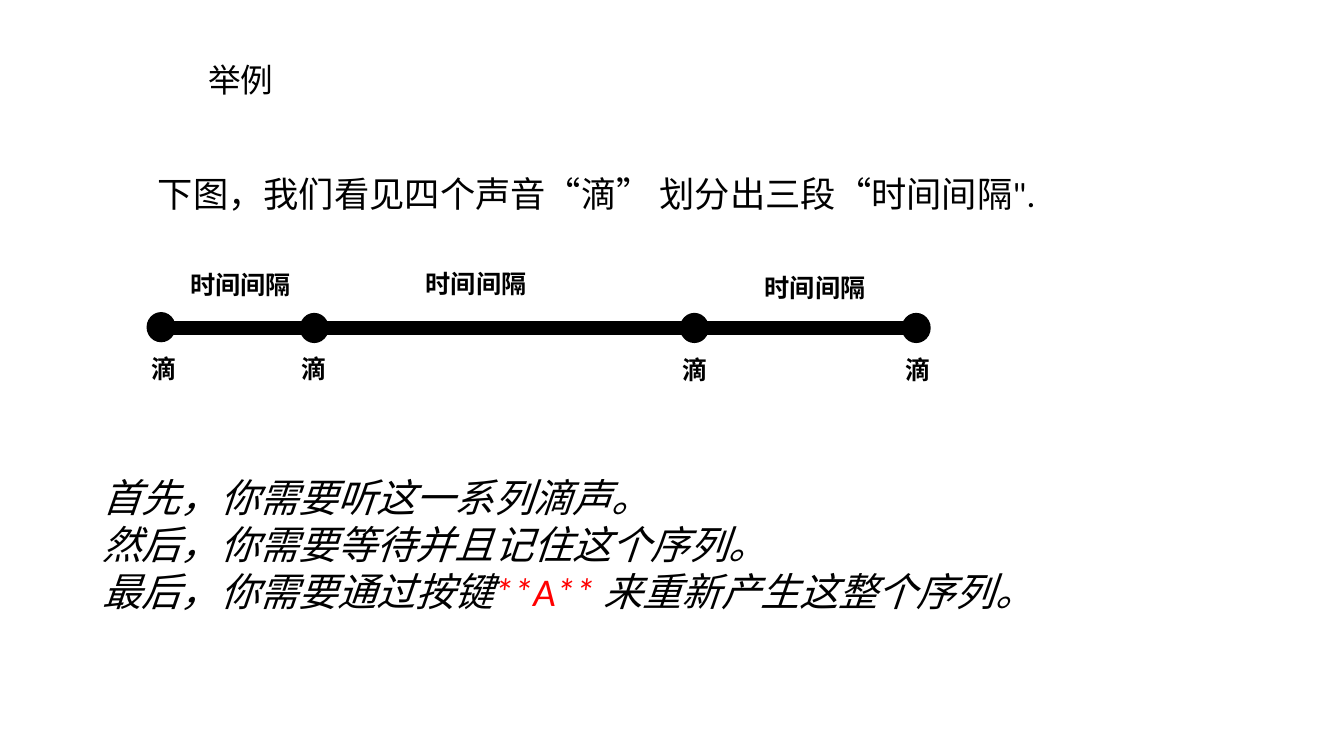
from pptx import Presentation
from pptx.dml.color import RGBColor
from pptx.enum.shapes import MSO_SHAPE
from pptx.enum.text import MSO_ANCHOR, PP_ALIGN
from pptx.util import Cm, Pt

RECTANGLE, OVAL = MSO_SHAPE.RECTANGLE, MSO_SHAPE.OVAL
TOP, BOTTOM = MSO_ANCHOR.TOP, MSO_ANCHOR.BOTTOM
LEFT, CENTER = PP_ALIGN.LEFT, PP_ALIGN.CENTER
BLACK = RGBColor(0x00, 0x00, 0x00)
RED = RGBColor(0xFF, 0x00, 0x00)

BLANK_LAYOUT = 6
DOT_WIDTH, DOT_HEIGHT = 0.66, 0.69
LABEL_HEIGHT = 1.02


class Board:
    """Holds the slide and the style of its elements."""

    heading_font = "Arial"
    body_font = "Calibri"
    label_size = 18

    def __init__(self, slide):
        """Keep the slide to draw on."""
        self.slide = slide

    def text(self, box, lines, font, size, anchor=TOP, align=LEFT,
             bold=False, italic=False, wrap=True, spacing=None):
        """Add a text box; each line is a list of (text, colour) runs."""
        frame = self.slide.shapes.add_textbox(*map(Cm, box)).text_frame
        frame.word_wrap = wrap
        frame.vertical_anchor = anchor
        for index, runs in enumerate(lines):
            paragraph = frame.paragraphs[0] if index == 0 else frame.add_paragraph()
            paragraph.alignment = align
            paragraph.line_spacing = spacing
            paragraph.font.name = font
            paragraph.font.size = Pt(size)
            paragraph.font.bold = bold
            paragraph.font.italic = italic
            for words, colour in runs:
                run = paragraph.add_run()
                run.text = words
                run.font.color.rgb = colour

    def label(self, centre, top, width, words):
        """Add a bold diagram label centred on a horizontal position."""
        self.text((centre - width / 2, top, width, LABEL_HEIGHT), [[(words, BLACK)]],
                  self.heading_font, self.label_size, align=CENTER, bold=True, wrap=False)

    def solid(self, kind, box):
        """Add a black shape with a black outline."""
        shape = self.slide.shapes.add_shape(kind, *map(Cm, box))
        shape.shadow.inherit = False
        shape.fill.solid()
        shape.fill.fore_color.rgb = BLACK
        shape.line.color.rgb = BLACK
        shape.line.width = Pt(2)


def build():
    """Build the slide and save it."""
    deck = Presentation()
    deck.slide_width, deck.slide_height = Cm(33.87), Cm(19.05)
    board = Board(deck.slides.add_slide(deck.slide_layouts[BLANK_LAYOUT]))

    board.text((5, 1.45, 25.96, 1.19), [[("举例", BLACK)]],
               board.heading_font, 23.3, anchor=BOTTOM, spacing=0.9)
    board.text((3.73, 3.48, 27.23, 2.06),
               [[("下图，我们看见四个声音“滴” 划分出三段“时间间隔\".", BLACK)]],
               board.body_font, 25.2, anchor=BOTTOM)

    board.solid(RECTANGLE, (4.04, 8.13, 19.02, 0.28))
    # Each beep: dot centre, dot top, label centre, label top
    beeps = [(4.06, 7.9, 4.14, 8.79), (7.92, 7.92, 7.91, 8.79),
             (17.5, 7.92, 17.51, 8.81), (23.09, 7.92, 23.15, 8.81)]
    for dot_centre, dot_top, label_centre, label_top in beeps:
        board.solid(OVAL, (dot_centre - DOT_WIDTH / 2, dot_top, DOT_WIDTH, DOT_HEIGHT))
        board.label(label_centre, label_top, 1.14, "滴")
    for centre, top in [(6.06, 6.65), (12, 6.63), (20.54, 6.73)]:
        board.label(centre, top, 3.07, "时间间隔")

    steps = [
        [("首先，你需要听这一系列滴声。", BLACK)],
        [("然后，你需要等待并且记住这个序列。", BLACK)],
        [("最后，你需要通过按键", BLACK), ("**A** ", RED),
         ("来重新产生这整个序列。", BLACK)],
    ]
    board.text((2.34, 11.79, 28.96, 5.05), steps, board.body_font, 28, italic=True)
    deck.save("out.pptx")


build()
